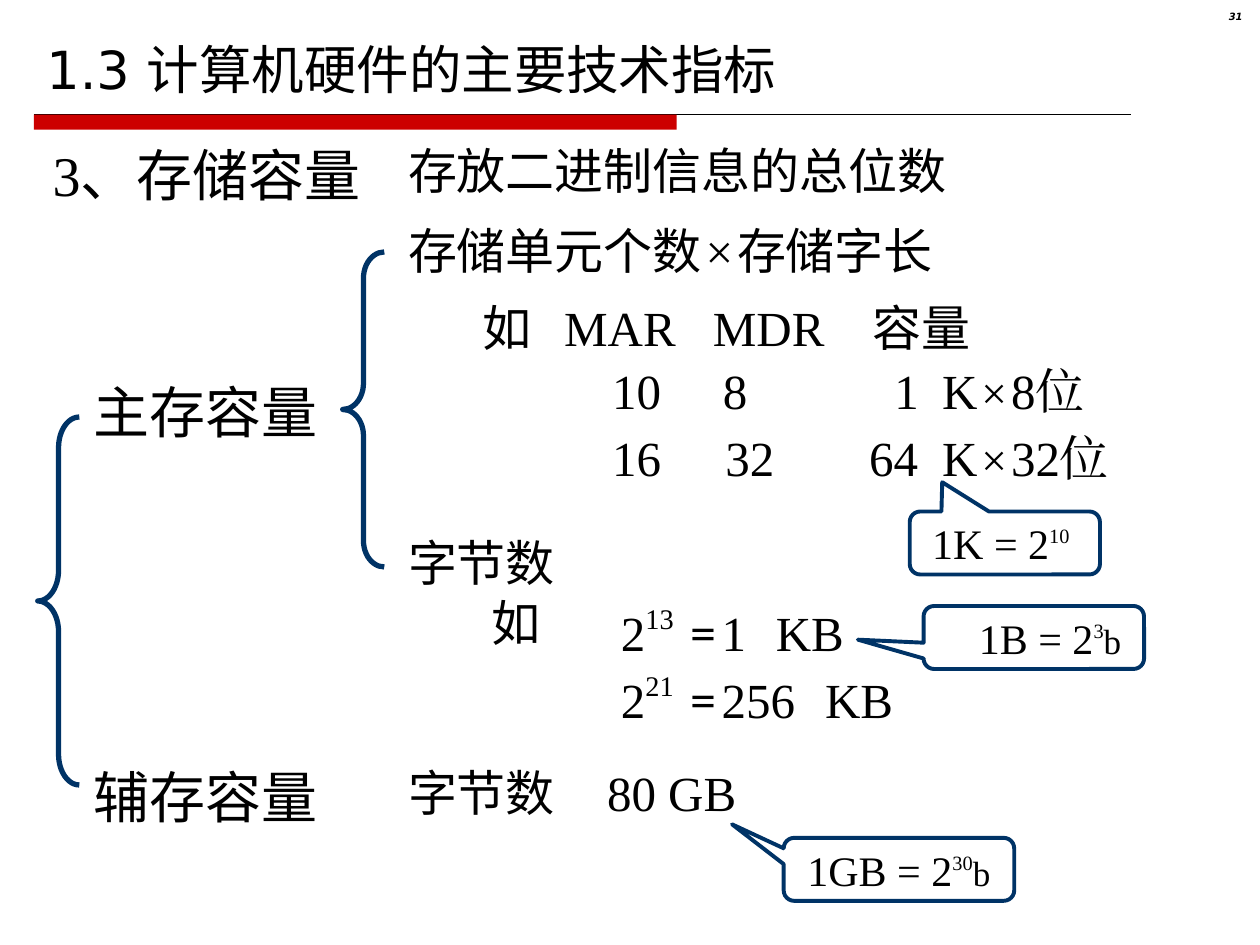
from lxml.etree import SubElement
from pptx import Presentation
from pptx.dml.color import RGBColor
from pptx.enum.shapes import MSO_CONNECTOR, MSO_SHAPE
from pptx.enum.text import MSO_ANCHOR, PP_ALIGN
from pptx.oxml.ns import qn
from pptx.util import Pt

SCALE = 9144  # EMU in one px, 100 px to the inch
BLACK = RGBColor(0x00, 0x00, 0x00)
RED = RGBColor(0xCC, 0x00, 0x00)
NAVY = RGBColor(0x00, 0x33, 0x66)
SANS, HEAN, SERIF = "DejaVu Sans", "Lato", "Times New Roman"
ROW_PITCH = 53


def px(*lengths):
    return [length * SCALE for length in lengths]


def span(text, size=28, font=SERIF, raised=False):
    return text, size, font, raised


def add_text(page, box, spans, tabs=(), align=PP_ALIGN.LEFT,
             anchor=MSO_ANCHOR.TOP, bold=False, italic=False, spacing=None):
    frame = page.shapes.add_textbox(*px(*box)).text_frame
    frame.word_wrap = True
    frame.vertical_anchor = anchor
    para = frame.paragraphs[0]
    if tabs:
        tab_list = SubElement(para._p.get_or_add_pPr(), qn("a:tabLst"))
        for position in tabs:
            SubElement(tab_list, qn("a:tab"), pos=str(position * SCALE), algn="l")
    para.alignment = align
    if spacing:
        para.line_spacing = spacing
    for text, size, font, raised in spans:
        run = para.add_run()
        run.text = text
        run.font.size = Pt(size)
        run.font.name = font
        run.font.color.rgb = BLACK
        run.font.bold = bold
        run.font.italic = italic
        properties = run._r.get_or_add_rPr()
        SubElement(properties, qn("a:ea"), typeface=font)
        if raised:
            properties.set("baseline", "45000")


def add_outline(page, kind, box, width):
    shape = page.shapes.add_shape(kind, *px(*box))
    shape.shadow.inherit = False
    shape.fill.background()
    shape.line.color.rgb = NAVY
    shape.line.width = Pt(width)
    return shape


def add_brace(page, box):
    brace = add_outline(page, MSO_SHAPE.LEFT_BRACE, box, 3)
    brace.adjustments[0] = box[3] / 12 / box[2]
    brace.adjustments[1] = 0.5


def add_callout(page, box, tip, text_offset, spans):
    callout = add_outline(page, MSO_SHAPE.ROUNDED_RECTANGULAR_CALLOUT, box, 2.25)
    for index, value in enumerate((*tip, 0.167)):
        callout.adjustments[index] = value
    left, top, width, height = box
    add_text(page, (left + text_offset, top, width, height), spans)


def add_header(page, box):
    left, top, width, height = box
    add_text(page, (left, top, width, 71), [span("1.3 计算机硬件的主要技术指标", 30, SANS)],
             anchor=MSO_ANCHOR.BOTTOM)
    add_text(page, (left + 910, top - 8, 59, 23), [span("31", 5.7, SANS)],
             align=PP_ALIGN.RIGHT, bold=True, italic=True, spacing=0.8)
    # Thin rule with a thick red bar under its first part
    rule = top + height
    line = page.shapes.add_connector(
        MSO_CONNECTOR.STRAIGHT, *px(left, rule, left + 871, rule))
    line.line.color.rgb = BLACK
    line.line.width = Pt(0.75)
    SubElement(line._element.spPr, qn("a:effectLst"))
    bar = page.shapes.add_shape(MSO_SHAPE.RECTANGLE, *px(left, rule, 510, 12))
    bar.shadow.inherit = False
    bar.fill.solid()
    bar.fill.fore_color.rgb = RED
    bar.line.fill.background()


def add_topic_tree(page, box):
    left, top, width, height = box
    add_text(page, (left + 2, top, 348, 64),
             [span("3", 32), span("、", 32, SANS), span("存储容量", 32, HEAN)])
    for offset, label in ((188, "主存容量"), (493, "辅存容量")):
        add_text(page, (left + 34, top + offset, 267, 64), [span(label, 32, HEAN)])
    add_brace(page, (left, top + 224, 33, 292))
    add_brace(page, (left + 242, top + 93, 33, 250))


def add_definitions(page, box):
    left, top, width, height = box
    gap, times = span(" ", 9), span("×", 28)
    lines = (
        (0, [span("存放二进制信息的总位数", font=HEAN)]),
        (63, [span("存储单元个数", font=HEAN), gap, times, gap,
              span("存储字长", font=HEAN)]),
        (311, [span("字节数", font=HEAN)]),
        (493, [span("字节数", font=HEAN), span("\t80 GB")]),
    )
    for offset, spans in lines:
        add_text(page, (left, top + offset, width, 57), spans, tabs=[158])


def add_word_examples(page, box):
    left, top, width, height = box
    add_text(page, (left, top, width, 57),
             [span("如", font=HEAN), span("\tMAR\tMDR\t"), span("容量", font=HEAN)],
             tabs=[65, 183, 310])
    # address bits, data bits, tab of data bits, words, left of words, tab of K
    rows = (("10", "8", 88, "1", 327, 38), ("16", "32", 90, "64", 307, 58))
    gap = span(" ", 9)
    for index, (address, data, data_tab, words, words_left, unit_tab) in enumerate(rows):
        row_top = top + 50 + index * ROW_PITCH
        add_text(page, (left + 103, row_top, 200, 57),
                 [span(f"{address}\t{data}")], tabs=[data_tab])
        add_text(page, (left + words_left, row_top, 233, 57),
                 [span(f"{words}\tK"), gap, span("×", 26), gap, span(f"{data}位")],
                 tabs=[unit_tab])


def add_byte_examples(page, box):
    left, top, width, height = box
    add_text(page, (left, top, 83, 57), [span("如", font=HEAN)])
    rows = (("13", "1", 123), ("21", "256", 162))
    for index, (power, amount, unit_tab) in enumerate(rows):
        add_text(page, (left + 103, top + 7 + index * ROW_PITCH, width - 103, 58),
                 [span("2"), span(power, raised=True), span("\t=", font=HEAN),
                  span(" ", 10), span(f"{amount}\tKB")],
                 tabs=[54, unit_tab])


def add_unit_notes(page):
    notes = (
        ((722, 406, 151, 50), (-0.329, -0.965), 8, "1K = 2", "10", ""),
        ((733, 481, 175, 50), (-0.798, 0.035), 34, "1B = 2", "3", "b"),
        ((622, 665, 183, 50), (-0.724, -0.715), 9, "1GB = 2", "30", "b"),
    )
    for box, tip, text_offset, base, power, unit in notes:
        spans = [span(base, 24), span(power, 20, raised=True)]
        if unit:
            spans.append(span(unit, 20))
        add_callout(page, box, tip, text_offset, spans)


def main():
    deck = Presentation()
    deck.slide_width, deck.slide_height = px(1000, 750)
    page = deck.slides.add_slide(deck.slide_layouts[6])
    add_header(page, (27, 13, 945, 78))
    add_topic_tree(page, (30, 107, 284, 557))
    add_definitions(page, (314, 107, 558, 550))
    add_word_examples(page, (373, 231, 574, 160))
    add_byte_examples(page, (380, 465, 387, 118))
    add_unit_notes(page)
    deck.save("out.pptx")


if __name__ == "__main__":
    main()
